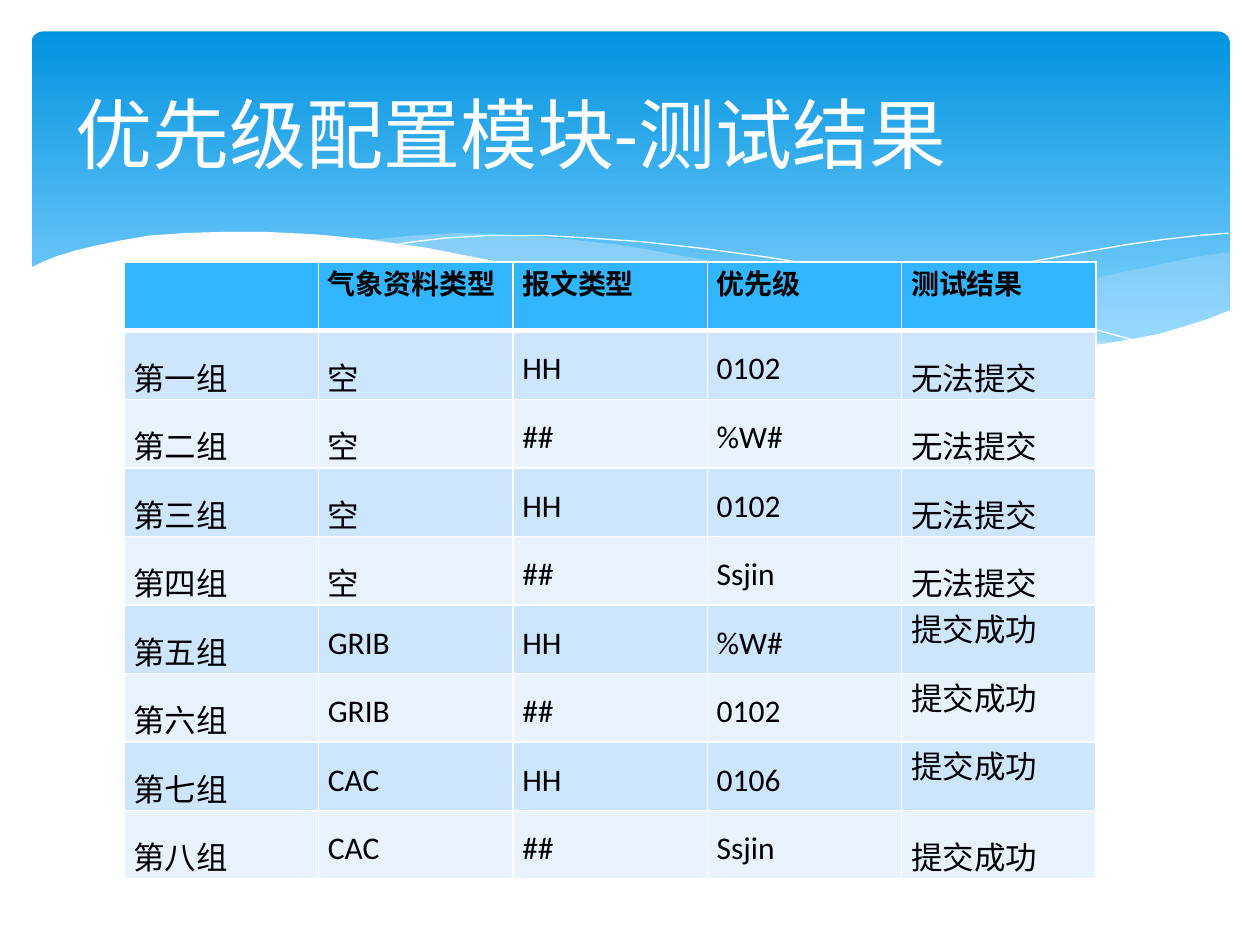
import pptx
import pptx.dml.color
import pptx.enum.shapes
import pptx.enum.text
import pptx.oxml.ns
import pptx.util
from lxml import etree

Pt = pptx.util.Pt
qn = pptx.oxml.ns.qn
FONT = "Calibri"
COLORS = {
    "white": "FFFFFF",
    "black": "000000",
    "sky_top": "0293E0",
    "sky_bottom": "83D3FE",
    "wave": "C6E7FC",
    "header": "31B6FD",
    "band_dark": "CEE5FE",
    "band_light": "E8F3FF",
}

RIGHT_WAVE = [
    (702, 144), (682.6, 146.9), (663.1, 151.2), (641.5, 155.5), (619.9, 160.6),
    (579.6, 170.6), (542.2, 178.6), (508.3, 185), (475.9, 190.8), (497.5, 193.7),
    (517.7, 195.8), (536.4, 198), (562.3, 199.4), (586.1, 200.2), (607.7, 199.4),
    (627.8, 197.3), (645.8, 194.4), (663.1, 190.8), (678.2, 186.5), (693.4, 181.4),
    (702.7, 177.8), (702.7, 144),
]
MIDDLE_WAVE = [
    (643, 196.6), (623.5, 193.7), (581, 187.2), (533.5, 177.8), (481, 166.3),
    (452.9, 159.8), (430.6, 154.1), (409.7, 149.8), (389.5, 146.2), (370.1, 142.6),
    (352.1, 139.7), (318.2, 136.1), (287.3, 133.9), (259.9, 133.2), (236.2, 134.6),
    (205.9, 137.5), (232.6, 141.1), (260.6, 146.2), (290.9, 151.9), (323.3, 159.8),
    (381.6, 172.8), (420.5, 181.4), (456.5, 187.9), (489.6, 193), (519.8, 197.3),
    (547.9, 199.4), (573.1, 200.2), (596.2, 200.2), (617, 199.4),
]
FALLING_LINE = [
    (222.5, 140.4), (236.2, 138.2), (254.2, 136.1), (278.6, 134.6), (311.8, 134.6),
    (337.7, 136.1), (367.2, 138.2), (400.3, 141.8), (437.8, 146.9), (478.8, 153.4),
    (523.4, 162.7), (572.4, 173.5), (598.3, 180.7), (653, 195.8),
]
RISING_LINE = [
    (441.4, 185), (470.2, 177.1), (500.4, 169.2), (538.6, 160.6), (580.3, 151.2),
    (623.5, 143.3), (644.4, 139.7), (665.3, 136.8), (684.7, 134.6), (702, 133.2),
]
WHITE_WAVE = [
    (703.4, 177.1), (690.5, 182.2), (676.8, 186.5), (662.4, 190.8), (647.3, 193.7),
    (630, 196.6), (612, 198), (582.5, 199.4), (560.2, 198.7), (535.7, 197.3),
    (509.8, 194.4), (481, 190.8), (450.7, 185.8), (416.9, 180), (380.9, 172.1),
    (342, 163.4), (321.8, 158.4), (281.5, 149), (244.8, 141.8), (210.2, 136.8),
    (180, 133.9), (151.9, 132.5), (127.4, 132.5), (105.1, 133.2), (85.7, 134.6),
    (68.4, 137.5), (54.7, 140.4), (42.5, 143.3), (33.1, 146.2), (25.9, 149),
    (16.6, 153.4), (16.6, 236.9), (703.4, 236.9),
]

HEADER = ["", "气象资料类型", "报文类型", "优先级", "测试结果"]
ROWS = [
    ["第一组", "空", "HH", "0102", "无法提交"],
    ["第二组", "空", "##", "%W#", "无法提交"],
    ["第三组", "空", "HH", "0102", "无法提交"],
    ["第四组", "空", "##", "Ssjin", "无法提交"],
    ["第五组", "GRIB", "HH", "%W#", "提交成功"],
    ["第六组", "GRIB", "##", "0102", "提交成功"],
    ["第七组", "CAC", "HH", "0106", "提交成功"],
    ["第八组", "CAC", "##", "Ssjin", "提交成功"],
]
SINGLE_SPACED = {(5, 4), (6, 4), (7, 4)}


def rgb(name):
    return pptx.dml.color.RGBColor.from_string(COLORS[name])


def write(tf, text, size=18, color="black", bold=False, align=None, spacing=None):
    p = tf.paragraphs[0]
    p.alignment = align
    p.line_spacing = spacing
    r = p.add_run()
    r.text = text
    r.font.name = FONT
    r.font.size = Pt(size)
    r.font.bold = bold
    r.font.color.rgb = rgb(color)


def add_border(cell, side, width):
    ln = etree.SubElement(cell._tc.get_or_add_tcPr(), qn(f"a:ln{side}"), w=str(Pt(width)))
    fill = etree.SubElement(ln, qn("a:solidFill"))
    etree.SubElement(fill, qn("a:srgbClr"), val=COLORS["white"])


class Deck:
    def __init__(self, width, height):
        self.prs = pptx.Presentation()
        self.prs.slide_width = Pt(width)
        self.prs.slide_height = Pt(height)
        self.s = self.prs.slides.add_slide(self.prs.slide_layouts[6])

    def banner(self, x, y, w, h):
        kind = pptx.enum.shapes.MSO_SHAPE.ROUNDED_RECTANGLE
        sp = self.s.shapes.add_shape(kind, Pt(x), Pt(y), Pt(w), Pt(h))
        sp.adjustments[0] = 0.034
        sp.shadow.inherit = False
        sp.line.fill.background()
        sp.fill.gradient()
        sp.fill.gradient_angle = 270
        stops = [("sky_top", 0), ("sky_bottom", 0.9)]
        for stop, (color, position) in zip(sp.fill.gradient_stops, stops):
            stop.color.rgb = rgb(color)
            stop.position = position

    def curve(self, points, fill=None, alpha=100):
        (x, y), *rest = [(Pt(a), Pt(b)) for a, b in points]
        builder = self.s.shapes.build_freeform(x, y)
        builder.add_line_segments(rest, close=fill is not None)
        sp = builder.convert_to_shape()
        sp.shadow.inherit = False
        if fill is None:
            sp.fill.background()
            sp.line.color.rgb = rgb("white")
            sp.line.width = Pt(0)
            return
        sp.line.fill.background()
        sp.fill.solid()
        sp.fill.fore_color.rgb = rgb(fill)
        if alpha < 100:
            clr = sp._element.spPr.find(qn("a:solidFill"))[0]
            etree.SubElement(clr, qn("a:alpha"), val=str(alpha * 1000))

    def title(self, text, x, y, w, h):
        tf = self.s.shapes.add_textbox(Pt(x), Pt(y), Pt(w), Pt(h)).text_frame
        tf.word_wrap = True
        tf.vertical_anchor = pptx.enum.text.MSO_ANCHOR.MIDDLE
        write(tf, text, size=44, color="white")

    def table(self, rows, x, y, w, h):
        n, m = len(rows), len(rows[0])
        table = self.s.shapes.add_table(n, m, Pt(x), Pt(y), Pt(w), Pt(h)).table
        for i, row in enumerate(rows):
            for j, text in enumerate(row):
                self.cell(table.cell(i, j), text, i, (i, j) in SINGLE_SPACED)

    def cell(self, cell, text, i, single):
        header = i == 0
        cell.margin_left = cell.margin_right = Pt(5.4)
        cell.margin_top = cell.margin_bottom = 0
        for side in "LRTB":
            heavy = (side == "B" and header) or (side == "T" and i == 1)
            add_border(cell, side, 3 if heavy else 1)
        cell.fill.solid()
        band = "band_dark" if i % 2 else "band_light"
        cell.fill.fore_color.rgb = rgb("header" if header else band)
        if text:
            write(cell.text_frame, text, size=16 if header else 18, bold=header,
                  align=pptx.enum.text.PP_ALIGN.JUSTIFY,
                  spacing=None if header or single else 1.5)


def main():
    deck = Deck(720, 540)
    deck.banner(18, 18, 684.7, 194.4)
    deck.curve(RIGHT_WAVE, fill="wave", alpha=29)
    deck.curve(MIDDLE_WAVE, fill="wave", alpha=40)
    deck.curve(FALLING_LINE)
    deck.curve(RISING_LINE)
    deck.curve(WHITE_WAVE, fill="white")
    deck.title("优先级配置模块-测试结果", 36, 26.6, 648, 98.6)
    deck.table([HEADER] + ROWS, 70.9, 149.8, 555.5, 352.8)
    deck.prs.save("out.pptx")


if __name__ == "__main__":
    main()
